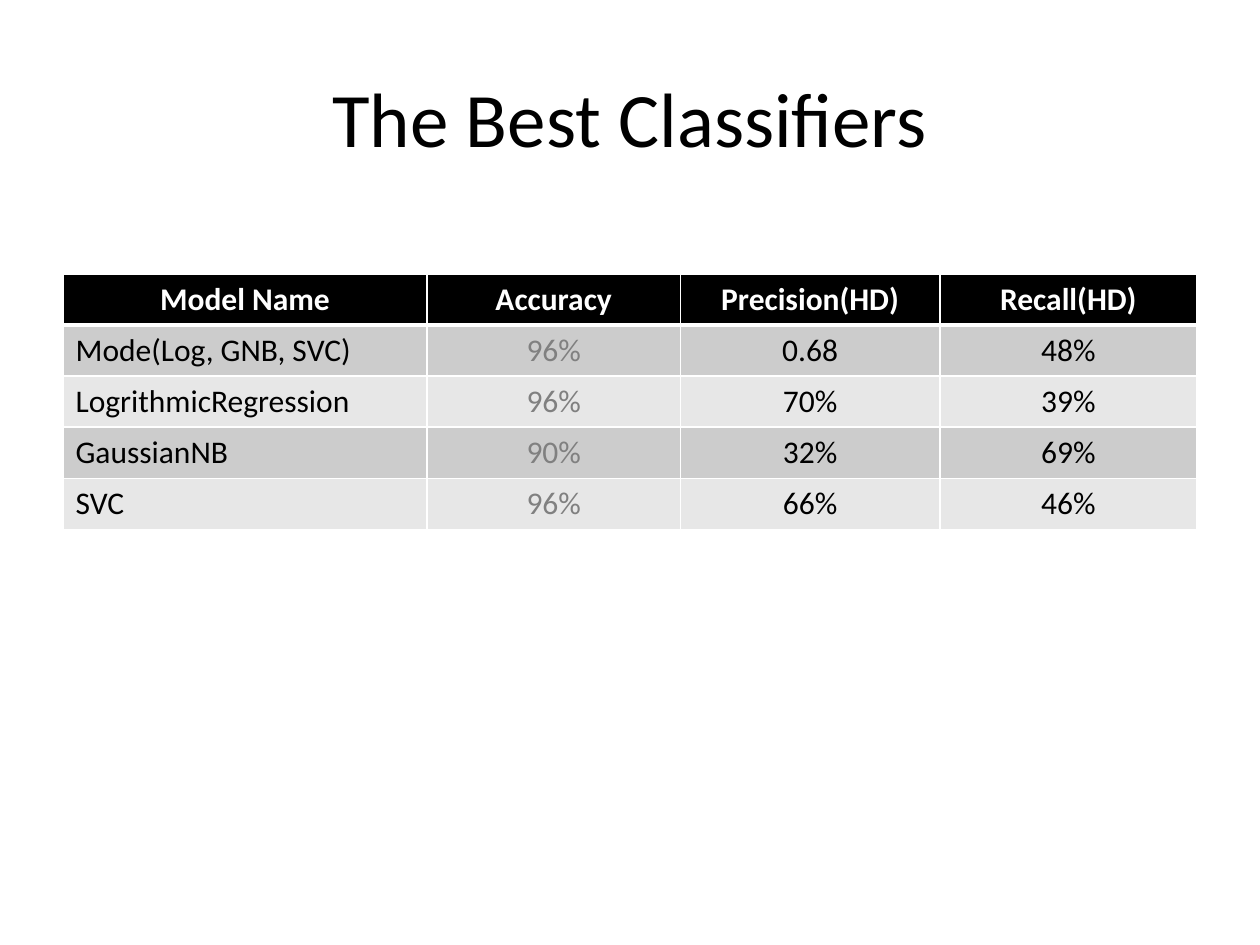
import pptx
import pptx.util
import pptx.dml.color
import pptx.enum.text
import pptx.oxml

Pt = pptx.util.Pt
ALIGN = pptx.enum.text.PP_ALIGN
ANCHOR = pptx.enum.text.MSO_ANCHOR
NS = "http://schemas.openxmlformats.org/drawingml/2006/main"

WIDTHS = [208.08, 144.72, 148.32, 146.88]
HEIGHT = 29.2
ROWS = [
    ["Model Name", "Accuracy", "Precision(HD)", "Recall(HD)"],
    ["Mode(Log, GNB, SVC)", "96%", "0.68", "48%"],
    ["LogrithmicRegression", "96%", "70%", "39%"],
    ["GaussianNB", "90%", "32%", "69%"],
    ["SVC", "96%", "66%", "46%"],
]


def paint(color, value):
    color.rgb = pptx.dml.color.RGBColor.from_string(value)


def style(para, size, color, align, bold=False):
    para.alignment = align
    para.font.name = "Calibri"
    para.font.size = Pt(size)
    para.font.bold = bold
    paint(para.font.color, color)


def border(cell, side, width, place):
    line = pptx.oxml.parse_xml(
        f'<a:{side} xmlns:a="{NS}" w="{Pt(width)}"><a:solidFill>'
        f'<a:srgbClr val="FFFFFF"/></a:solidFill></a:{side}>')
    cell._tc.get_or_add_tcPr().insert(place, line)


def fill(cell, text, row, col):
    head = row == 0
    cell.text = text
    cell.fill.solid()
    paint(cell.fill.fore_color,
          "000000" if head else "CCCCCC" if row % 2 else "E7E7E7")
    color = "FFFFFF" if head else "808080" if col == 1 else "000000"
    align = ALIGN.CENTER if head or col else ALIGN.LEFT
    style(cell.text_frame.paragraphs[0], 18, color, align, head)
    wide = {"lnT": 3 if row == 1 else 1, "lnB": 3 if head else 1}
    for place, side in enumerate(["lnL", "lnR", "lnT", "lnB"]):
        border(cell, side, wide.get(side, 1), place)


def title(slide, text):
    shape = slide.shapes.title
    shape.left, shape.top = Pt(36), Pt(21.6)
    shape.width, shape.height = Pt(648), Pt(90)
    shape.text_frame.text = text
    shape.text_frame.vertical_anchor = ANCHOR.MIDDLE
    style(shape.text_frame.paragraphs[0], 44, "000000", ALIGN.CENTER)


def grid(slide):
    frame = slide.shapes.add_table(
        len(ROWS), len(WIDTHS), Pt(36), Pt(156.5),
        Pt(sum(WIDTHS)), Pt(HEIGHT * len(ROWS)))
    table = frame.table
    for column, width in zip(table.columns, WIDTHS):
        column.width = Pt(width)
    for row, texts in enumerate(ROWS):
        table.rows[row].height = Pt(HEIGHT)
        for col, text in enumerate(texts):
            fill(table.cell(row, col), text, row, col)


def main():
    deck = pptx.Presentation()
    deck.slide_width, deck.slide_height = Pt(720), Pt(540)
    slide = deck.slides.add_slide(deck.slide_layouts[5])
    title(slide, "The Best Classifiers")
    grid(slide)
    deck.save("out.pptx")


main()
